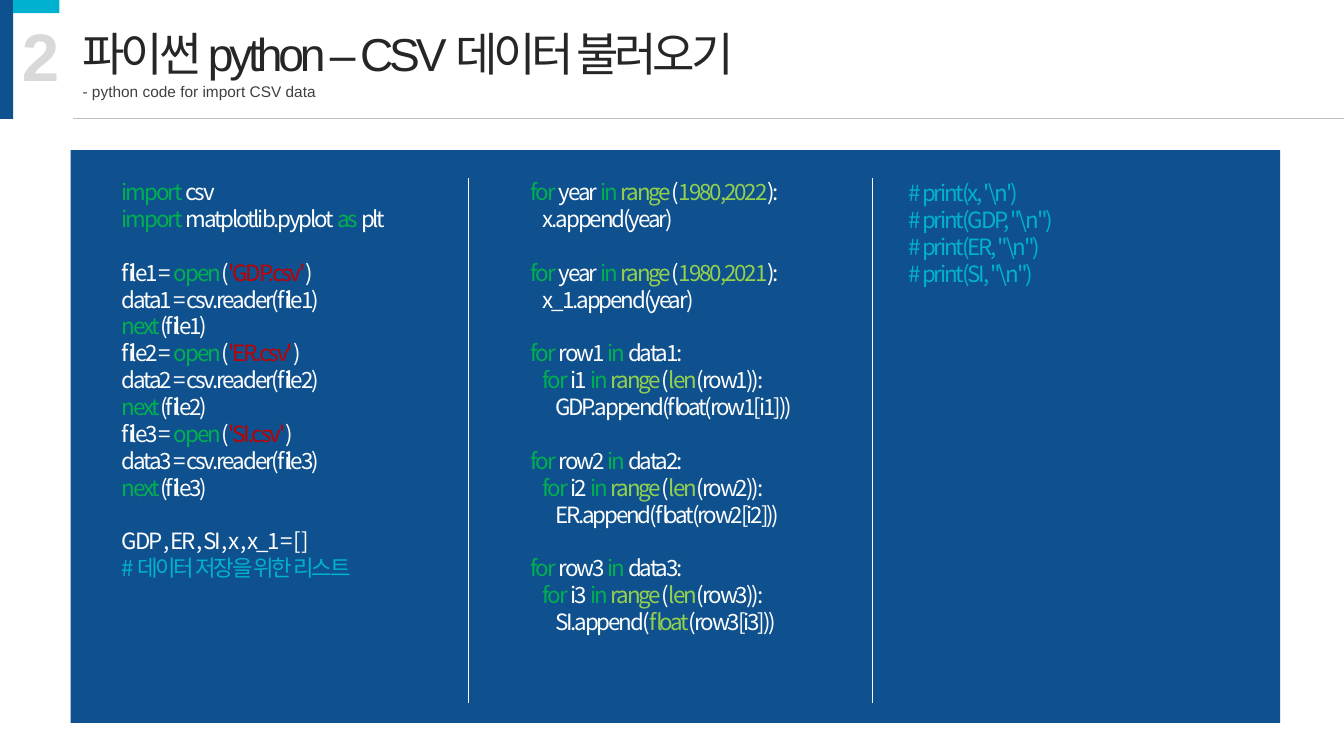
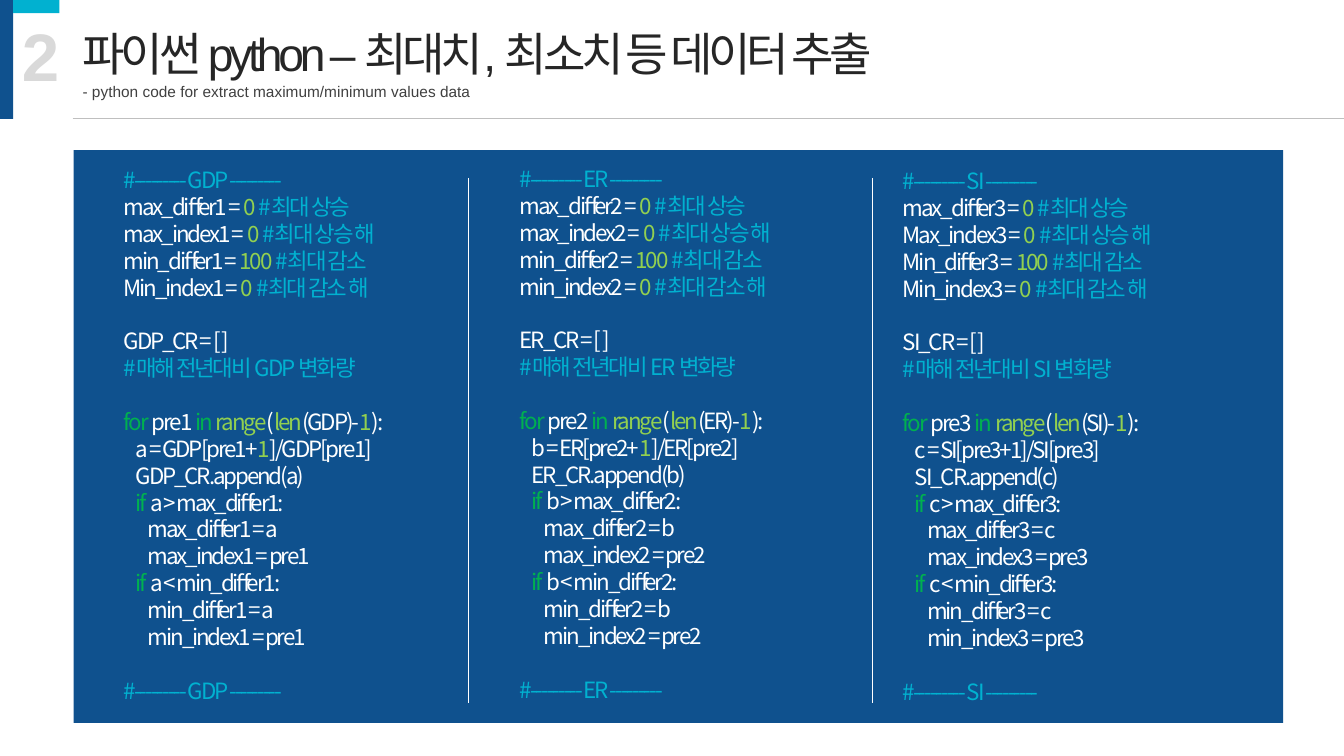
from dataclasses import dataclass

from lxml.etree import SubElement
from pptx import Presentation
from pptx.dml.color import RGBColor
from pptx.enum.shapes import MSO_CONNECTOR, MSO_SHAPE
from pptx.enum.text import MSO_ANCHOR, MSO_AUTO_SIZE, PP_ALIGN
from pptx.oxml.ns import qn
from pptx.slide import Slide
from pptx.text.text import TextFrame, _Paragraph
from pptx.util import Pt


@dataclass(frozen=True)
class TextStyle:
    """Look of one kind of text; lengths in points."""
    size: float
    color: str
    font: str = "Arial"
    bold: bool = False
    spacing: float = 0
    line: float | None = None
    align: PP_ALIGN = PP_ALIGN.LEFT


@dataclass(frozen=True)
class Theme:
    """Colours, type styles and code metrics of the deck."""
    navy: str = "0F518E"
    cyan: str = "01B1D0"
    white: str = "FFFFFF"
    rule: str = "BFBFBF"
    keyword: str = "00B050"
    builtin: str = "92D050"
    string: str = "C00000"
    hangul_font: str = "Noto Sans CJK KR"
    hairline: float = 0.5
    level_indent: float = 8.6
    title: TextStyle = TextStyle(33, "262626", spacing=-3, line=43)
    subtitle: TextStyle = TextStyle(11, "404040")
    number: TextStyle = TextStyle(48, "D9D9D9", bold=True)
    code: TextStyle = TextStyle(16, "FFFFFF", "Noto Sans CJK KR", spacing=-1.5,
                                line=19.2, align=PP_ALIGN.JUSTIFY)


@dataclass(frozen=True)
class Box:
    """Frame in points."""
    left: float
    top: float
    width: float
    height: float

    def lengths(self) -> tuple[Pt, Pt, Pt, Pt]:
        """Return the four values as lengths."""
        return Pt(self.left), Pt(self.top), Pt(self.width), Pt(self.height)


@dataclass(frozen=True)
class CodeColumn:
    """Marked-up code and the frame that holds it."""
    box: Box
    code: str
    margin: float = 0


@dataclass(frozen=True)
class CodeSlide:
    """Content of one slide."""
    title: str
    subtitle: str
    title_width: float
    subtitle_width: float
    panel_left: float
    columns: tuple[CodeColumn, ...]


@dataclass(frozen=True)
class Series:
    """Names used in the extreme-value search for one data series."""
    name: str
    number: int
    ratio: str
    labels: tuple[str, str, str, str]
    step: str = "|$1|"


THEME = Theme()
# Code markup: "|" parts the runs, and the first sign of a run picks its colour.
MARKS = {"@": THEME.keyword, "$": THEME.builtin, "!": THEME.string}

IMPORT_CODE = """@import| csv
@import |matplotlib.pyplot |@as |plt

""" + "\n".join(f"""file{number} = |@open|(|!'{name}.csv'|)
data{number} = csv.reader(file{number})
@next|(file{number})""" for number, name in enumerate(("GDP", "ER", "SI"), 1)) + """

GDP , ER , SI , x , x_1 = [ ]
# 데이터 저장을 위한 리스트"""

YEAR_LOOPS = [f"""@for| year |@in |$range|(|$1980,{end}|):
    {name}.append(year)""" for name, end in (("x", 2022), ("x_1", 2021))]

ROW_LOOPS = [f"""@for| row{number} |@in| data{number}:
    @for| i{number} |@in |$range|(|$len|(row{number})):
        {name}.append({convert}(row{number}[i{number}]))"""
             for number, (name, convert) in enumerate(
                 (("GDP", "float"), ("ER", "float"), ("SI", "|$float|")), 1)]

PRINT_CODE = r"""# print(x, '\n')
# print(GDP, "\n")
# print(ER, "\n")
# print(SI, "\n")"""


def extremes_code(series: Series) -> str:
    """Return the marked-up search for the largest and smallest change."""
    name, number, ratio = series.name, series.number, series.ratio
    notes = (("0", "최대 상승"), ("0", "최대 상승 해"),
             ("100", "최대 감소"), ("0", "최대 감소 해"))
    starts = "\n".join(f"{label}{number} = |${value} |#{note}"
                       for label, (value, note) in zip(series.labels, notes))
    tests = "\n".join(f"""    @if| {ratio} {sign} {limit}_differ{number}:
        {limit}_differ{number} = {ratio}
        {limit}_index{number} = pre{number}"""
                      for limit, sign in (("max", ">"), ("min", "<")))
    banner = f"#--------- {name} ---------"
    return f"""{banner}
{starts}

{name}_CR = [ ]
#매해 전년대비 {name} 변화량

@for| pre{number} |@in |$range|(|$len|({name})-|$1|):
    {ratio} = {name}[pre{number}+{series.step}]/{name}[pre{number}]
    {name}_CR.append({ratio})
{tests}

{banner}"""


SERIES = (
    Series("GDP", 1, "a", ("max_differ", "max_index", "min_differ", "Min_index")),
    Series("ER", 2, "b", ("max_differ", "max_index", "min_differ", "min_index")),
    Series("SI", 3, "c", ("max_differ", "Max_index", "Min_differ", "Min_index"), "1"),
)
EXTREME_BOXES = (Box(45.4, 115.2, 438, 395), Box(364.3, 114.5, 271, 415),
                 Box(637.9, 115.9, 271, 395))

SLIDES = (
    CodeSlide("파이썬 python – CSV 데이터 불러오기", "- python code for import CSV data",
              544, 183, 50.4, (
                  CodeColumn(Box(43.9, 123.8, 438, 298), IMPORT_CODE, 36),
                  CodeColumn(Box(372.2, 123.8, 271, 356),
                             "\n\n".join(YEAR_LOOPS + ROW_LOOPS)),
                  CodeColumn(Box(642.2, 124.6, 271, 104), PRINT_CODE))),
    CodeSlide("파이썬 python – 최대치, 최소치 등 데이터 추출",
              "- python code for extract maximum/minimum values data",
              674, 293, 52.6,
              tuple(CodeColumn(box, extremes_code(series), margin)
                    for box, series, margin in zip(EXTREME_BOXES, SERIES, (36, 0, 0)))),
)


def set_attributes(target: object, values: dict[str, object]) -> None:
    """Set every named attribute on the target."""
    for name, value in values.items():
        setattr(target, name, value)


def add_run(paragraph: _Paragraph, text: str, style: TextStyle, color: str) -> None:
    """Append one styled run."""
    run = paragraph.add_run()
    run.text = text
    set_attributes(run.font, {"size": Pt(style.size), "name": style.font, "bold": style.bold})
    run.font.color.rgb = RGBColor.from_string(color)
    properties = run._r.get_or_add_rPr()
    properties.set("spc", str(round(style.spacing * 100)))
    SubElement(properties, qn("a:ea")).set("typeface", THEME.hangul_font)


def format_paragraph(paragraph: _Paragraph, style: TextStyle,
                     margin: float = 0, before: float = 0) -> None:
    """Set alignment, spacing and left margin, without a bullet."""
    set_attributes(paragraph, {
        "alignment": style.align, "space_before": Pt(before), "space_after": Pt(0),
        "line_spacing": Pt(style.line) if style.line else 1.0})
    properties = paragraph._p.get_or_add_pPr()
    properties.set("marL", str(Pt(margin)))
    properties.set("indent", "0")
    SubElement(properties, qn("a:buNone"))


def format_frame(frame: TextFrame, wrap: bool = True) -> None:
    """Anchor the text at the top and keep the frame size."""
    set_attributes(frame, {"word_wrap": wrap, "auto_size": MSO_AUTO_SIZE.NONE,
                           "vertical_anchor": MSO_ANCHOR.TOP})


def write_line(frame: TextFrame, text: str, style: TextStyle, wrap: bool = True) -> None:
    """Fill a frame with one line of text."""
    format_frame(frame, wrap)
    paragraph = frame.paragraphs[0]
    format_paragraph(paragraph, style)
    add_run(paragraph, text, style, style.color)


def write_code(frame: TextFrame, column: CodeColumn) -> None:
    """Write coloured code; an empty line becomes space before the next one."""
    format_frame(frame)
    style, before = THEME.code, 0.0
    paragraph = frame.paragraphs[0]
    for number, line in enumerate(column.code.splitlines()):
        if not line:
            before = style.line
            continue
        if number:
            paragraph = frame.add_paragraph()
        source = line.lstrip()
        level = (len(line) - len(source)) // 4
        format_paragraph(paragraph, style, column.margin + level * THEME.level_indent, before)
        before = 0.0
        for part in filter(None, source.split("|")):
            color = THEME.cyan if part[0] == "#" else MARKS.get(part[0], style.color)
            add_run(paragraph, part[1:] if part[0] in MARKS else part, style, color)


def add_block(slide: Slide, box: Box, color: str) -> None:
    """Draw a plain filled rectangle."""
    shape = slide.shapes.add_shape(MSO_SHAPE.RECTANGLE, *box.lengths())
    shape.shadow.inherit = False
    shape.fill.solid()
    shape.fill.fore_color.rgb = RGBColor.from_string(color)
    shape.line.fill.background()


def add_line(slide: Slide, start: tuple[float, float], end: tuple[float, float],
             color: str) -> None:
    """Draw a hairline without shadow."""
    line = slide.shapes.add_connector(MSO_CONNECTOR.STRAIGHT, *map(Pt, start + end))
    line.line.color.rgb = RGBColor.from_string(color)
    line.line.width = Pt(THEME.hairline)
    SubElement(line._element.spPr, qn("a:effectLst"))


def add_header(slide: Slide, content: CodeSlide) -> None:
    """Draw the corner bands, section number, title, subtitle and rule."""
    add_block(slide, Box(0, 0, 9.4, 85), THEME.navy)
    add_block(slide, Box(9.4, 0, 33, 9.4), THEME.cyan)
    title, subtitle = slide.placeholders
    number = slide.shapes.add_textbox(*Box(8.6, 6.5, 41.8, 65.5).lengths())
    for shape, box in ((title, Box(51.8, 10.8, content.title_width, 47.5)),
                       (subtitle, Box(51.8, 54.7, content.subtitle_width, 20.9))):
        set_attributes(shape, dict(zip(("left", "top", "width", "height"), box.lengths())))
    write_line(title.text_frame, content.title, THEME.title)
    write_line(subtitle.text_frame, content.subtitle, THEME.subtitle, wrap=False)
    write_line(number.text_frame, "2", THEME.number, wrap=False)
    add_line(slide, (51.8, 84.5), (960, 84.5), THEME.rule)


def add_code_slide(presentation: Presentation, content: CodeSlide) -> None:
    """Build one slide with three columns of code."""
    slide = presentation.slides.add_slide(presentation.slide_layouts[1])
    add_block(slide, Box(content.panel_left, 107.3, 864, 409), THEME.navy)
    add_header(slide, content)
    for column in content.columns:
        textbox = slide.shapes.add_textbox(*column.box.lengths())
        write_code(textbox.text_frame, column)
    for divider in (334.4, 623):
        add_line(slide, (divider, 127), (divider, 502), THEME.white)


def main() -> None:
    """Build and save the deck."""
    presentation = Presentation()
    set_attributes(presentation, {"slide_width": Pt(960), "slide_height": Pt(540)})
    for content in SLIDES:
        add_code_slide(presentation, content)
    presentation.save("out.pptx")


main()
